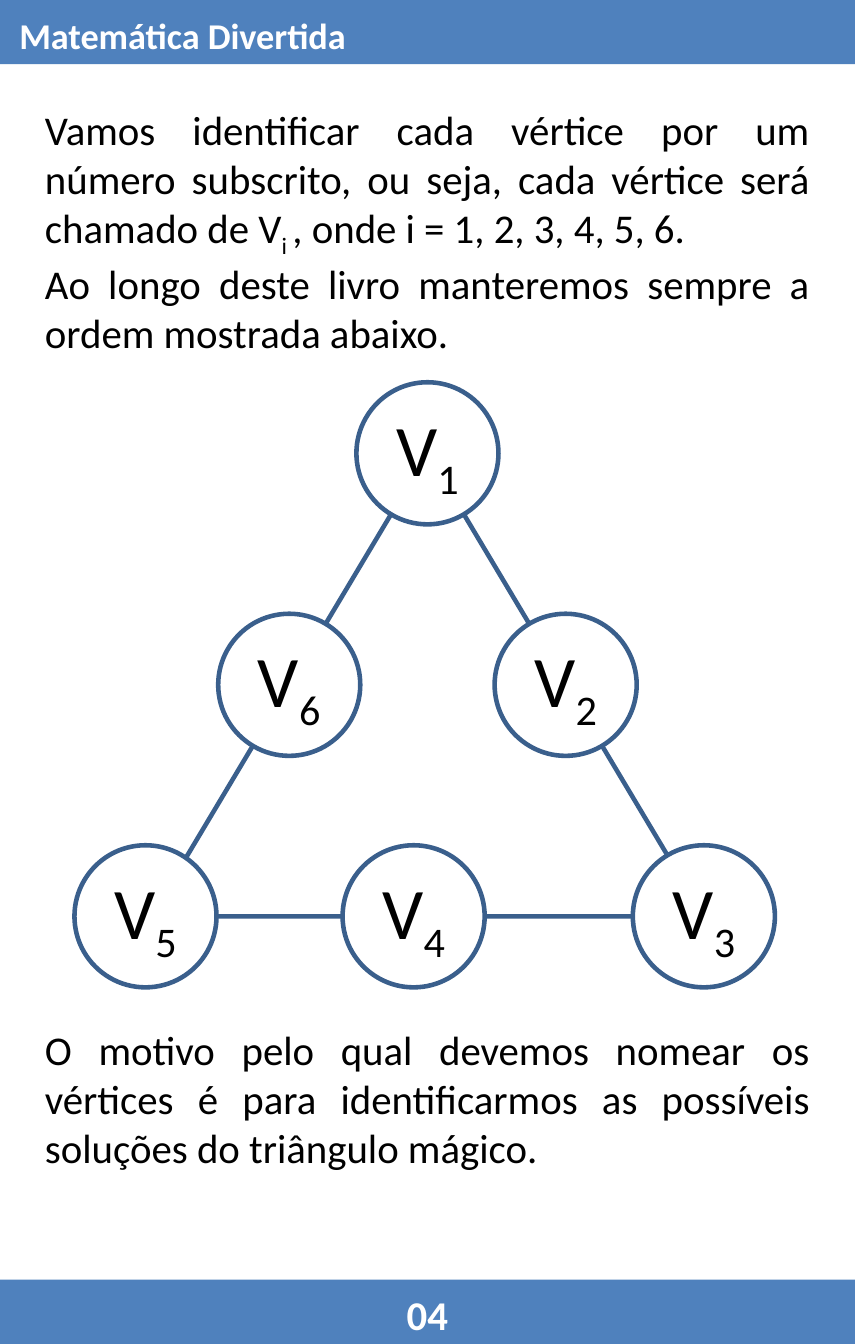
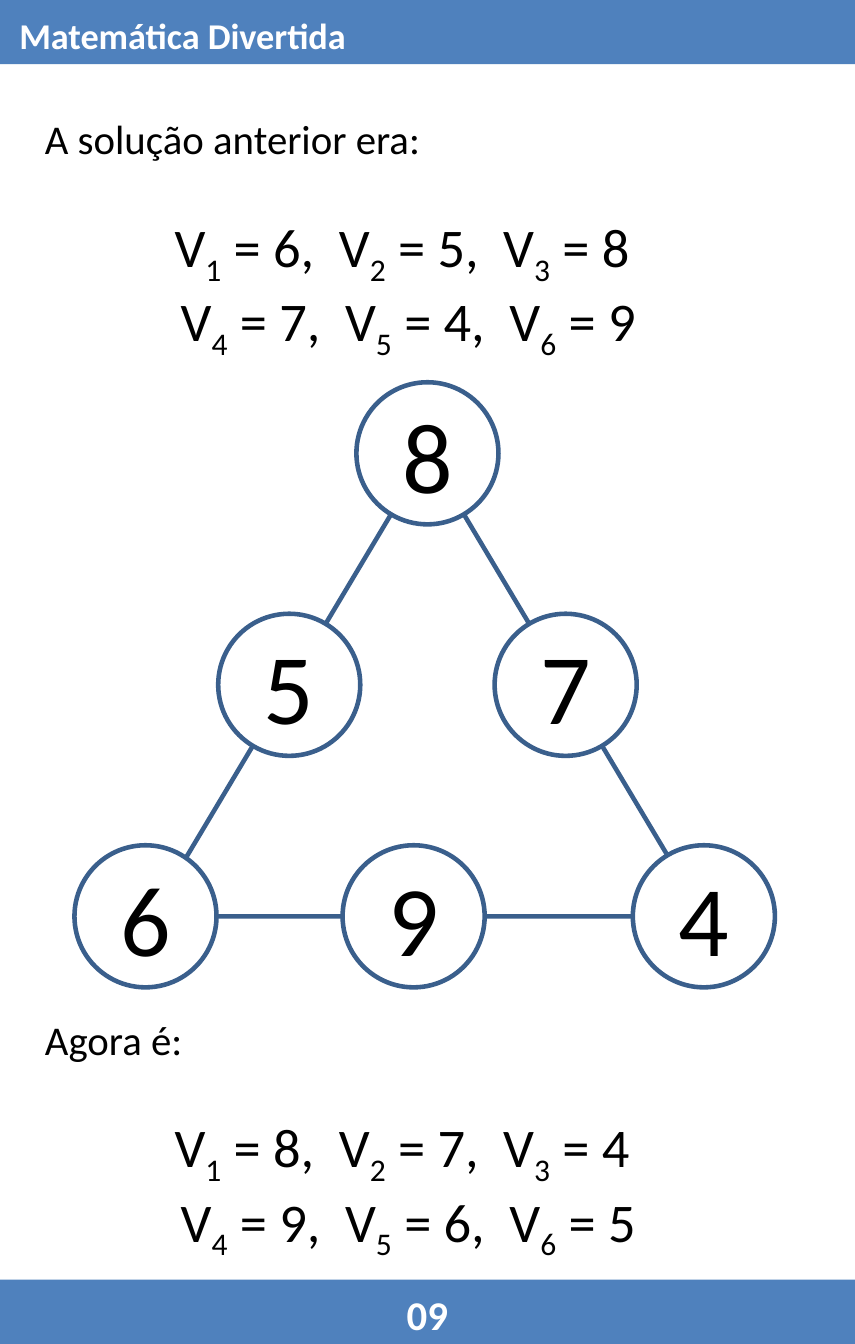
from pptx import Presentation
from pptx.dml.color import RGBColor
from pptx.enum.shapes import MSO_SHAPE
from pptx.enum.text import MSO_ANCHOR, PP_ALIGN
from pptx.util import Cm, Pt

WIDE, HIGH, BAND = 13.3, 20.9, 1.0
BLUE, EDGE, INK, PAPER = "4F81BD", "3A5F8C", "000000", "FFFFFF"
TITLE = "Matemática Divertida"

LEFT, MID, EVEN = PP_ALIGN.LEFT, PP_ALIGN.CENTER, PP_ALIGN.JUSTIFY
BAR = dict(margin_left=Cm(0.3), margin_right=Cm(0.3), margin_top=Cm(0.08),
           margin_bottom=0, vertical_anchor=MSO_ANCHOR.MIDDLE, word_wrap=True)
DISC = dict(margin_left=0, margin_right=0, margin_top=0, margin_bottom=0,
            vertical_anchor=MSO_ANCHOR.MIDDLE, word_wrap=False)

# Centres of V1 to V6 as shares of the triangle's box
NODES = [(0.5, 0), (0.75, 0.5), (1, 1), (0.475, 1), (-0.01, 1), (0.25, 0.5)]
DIAM = 2.21


def put(item, form):
    for name, value in form.items():
        setattr(item, name, value)


def paint(fill, color):
    fill.solid()
    fill.fore_color.rgb = RGBColor.from_string(color)


def write(para, text, size, align, color=INK, bold=False, before=0):
    """Fill a paragraph; parts between underscores are set as subscript."""
    put(para, dict(alignment=align))
    if before:
        para.space_before = Pt(before)
    for i, part in enumerate(text.split("_")):
        if not part:
            continue
        run = para.add_run()
        run.text = part
        put(run.font, dict(name="Calibri", size=Pt(size), bold=bold))
        paint(run.font.fill, color)
        if i % 2:
            run._r.get_or_add_rPr().set("baseline", "-25000")


def shape(slide, kind, box, fill=None, line=None):
    item = slide.shapes.add_shape(kind, *map(Cm, box))
    item.shadow.inherit = False
    if fill:
        paint(item.fill, fill)
    else:
        item.fill.background()
    if line:
        paint(item.line.fill, line)
        item.line.width = Pt(2)
    else:
        item.line.fill.background()
    return item


def label(item, text, size, align):
    """Set white bold text in a band."""
    put(item.text_frame, BAR)
    write(item.text_frame.paragraphs[0], text, size, align, PAPER, True)


def frame(deck, page):
    """Add a page with its title band and numbered foot band."""
    slide = deck.slides.add_slide(deck.slide_layouts[5])
    head = slide.shapes.title
    put(head, dict(left=0, top=0, width=Cm(WIDE), height=Cm(BAND)))
    paint(head.fill, BLUE)
    label(head, TITLE, 16, LEFT)
    foot = shape(slide, MSO_SHAPE.RECTANGLE,
                 (0, HIGH - BAND, WIDE, BAND), BLUE)
    label(foot, page, 18, MID)
    return slide


def graph(slide, box, names, size):
    """Draw the triangle in its box, with a disc on each vertex."""
    left, top, wide, high = box
    shape(slide, MSO_SHAPE.ISOSCELES_TRIANGLE, box, line=EDGE)
    for (x, y), name in zip(NODES, names):
        spot = (left + x * wide - DIAM / 2, top + y * high - DIAM / 2,
                DIAM, DIAM)
        disc = shape(slide, MSO_SHAPE.OVAL, spot, PAPER, EDGE)
        put(disc.text_frame, DISC)
        write(disc.text_frame.paragraphs[0], name, size, MID)


def prose(slide, box, rows):
    """Add a text box; each row holds the arguments of write."""
    body = slide.shapes.add_textbox(*map(Cm, box)).text_frame
    body.word_wrap = True
    for i, row in enumerate(rows):
        para = body.add_paragraph() if i else body.paragraphs[0]
        write(para, **row)


def plain(*texts):
    return [dict(text=text, size=18, align=EVEN) for text in texts]


def answer(lead, values):
    """Rows with a lead line and the six values, three to a line."""
    terms = [f"V_{i}_ = {n}" for i, n in enumerate(values, 1)]
    first, last = (",  ".join(part) for part in (terms[:3], terms[3:]))
    return plain(lead) + [
        dict(text=first + " ", size=24, align=MID, before=22),
        dict(text=last, size=24, align=MID)]


def main():
    deck = Presentation()
    put(deck, dict(slide_width=Cm(WIDE), slide_height=Cm(HIGH)))
    area = (2.35, 7.05, 8.6, 7.2)

    slide = frame(deck, "04")
    graph(slide, area, [f"V_{i}_" for i in range(1, 7)], 32)
    prose(slide, (0.45, 1.51, 12.4, 4.1), plain(
        "Vamos identificar cada vértice por um número subscrito, ou seja, "
        "cada vértice será chamado de V_i _, onde i = 1, 2, 3, 4, 5, 6.",
        "Ao longo deste livro manteremos sempre a ordem mostrada abaixo."))
    prose(slide, (0.45, 15.81, 12.4, 2.57), plain(
        "O motivo pelo qual devemos nomear os vértices é para "
        "identificarmos as possíveis soluções do triângulo mágico."))

    slide = frame(deck, "09")
    graph(slide, area, "874965", 44)
    prose(slide, (0.45, 1.65, 11.8, 3.84),
          answer("A solução anterior era:", "658749"))
    prose(slide, (0.45, 15.65, 11.8, 3.84), answer("Agora é:", "874965"))
    deck.save("out.pptx")


if __name__ == "__main__":
    main()
